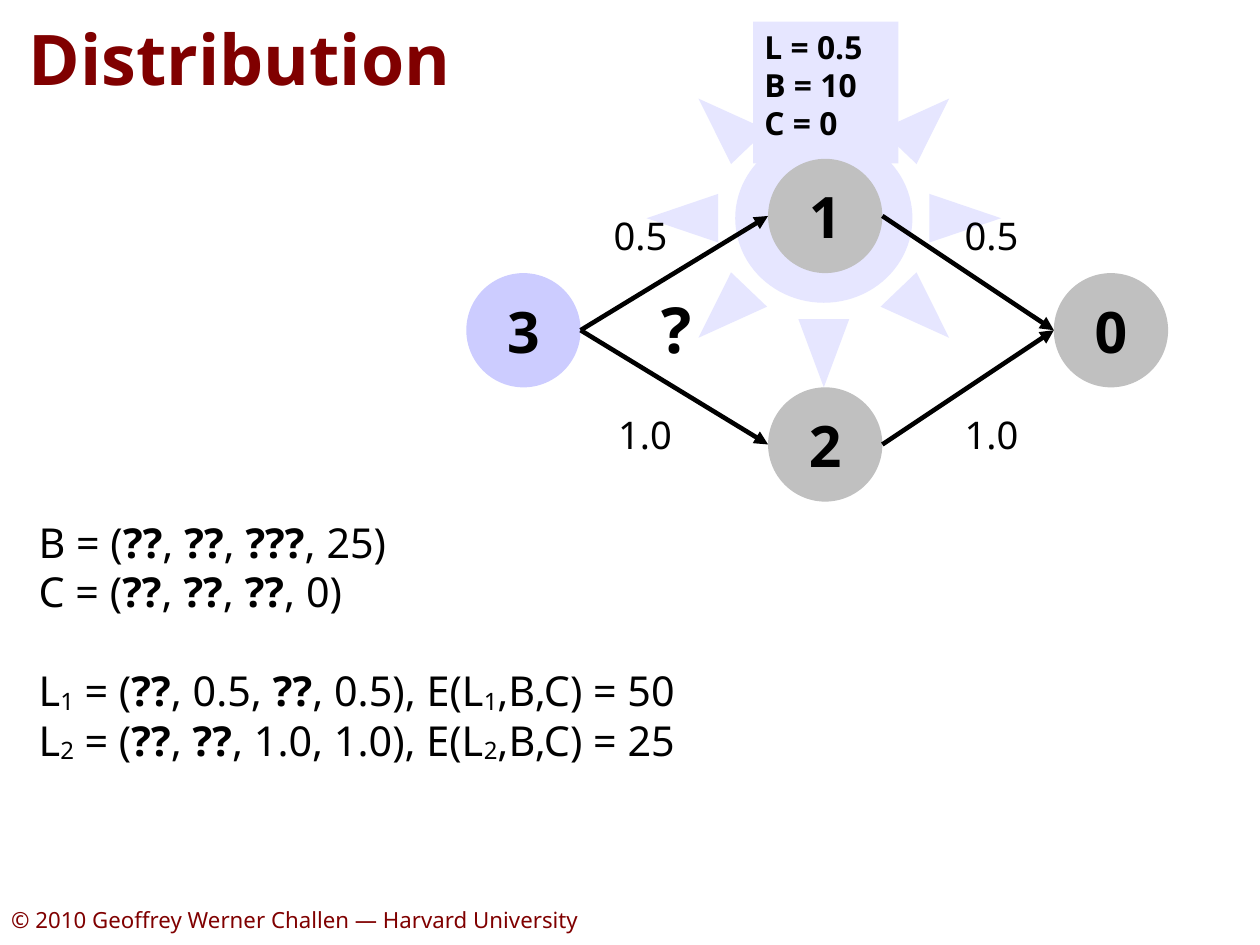
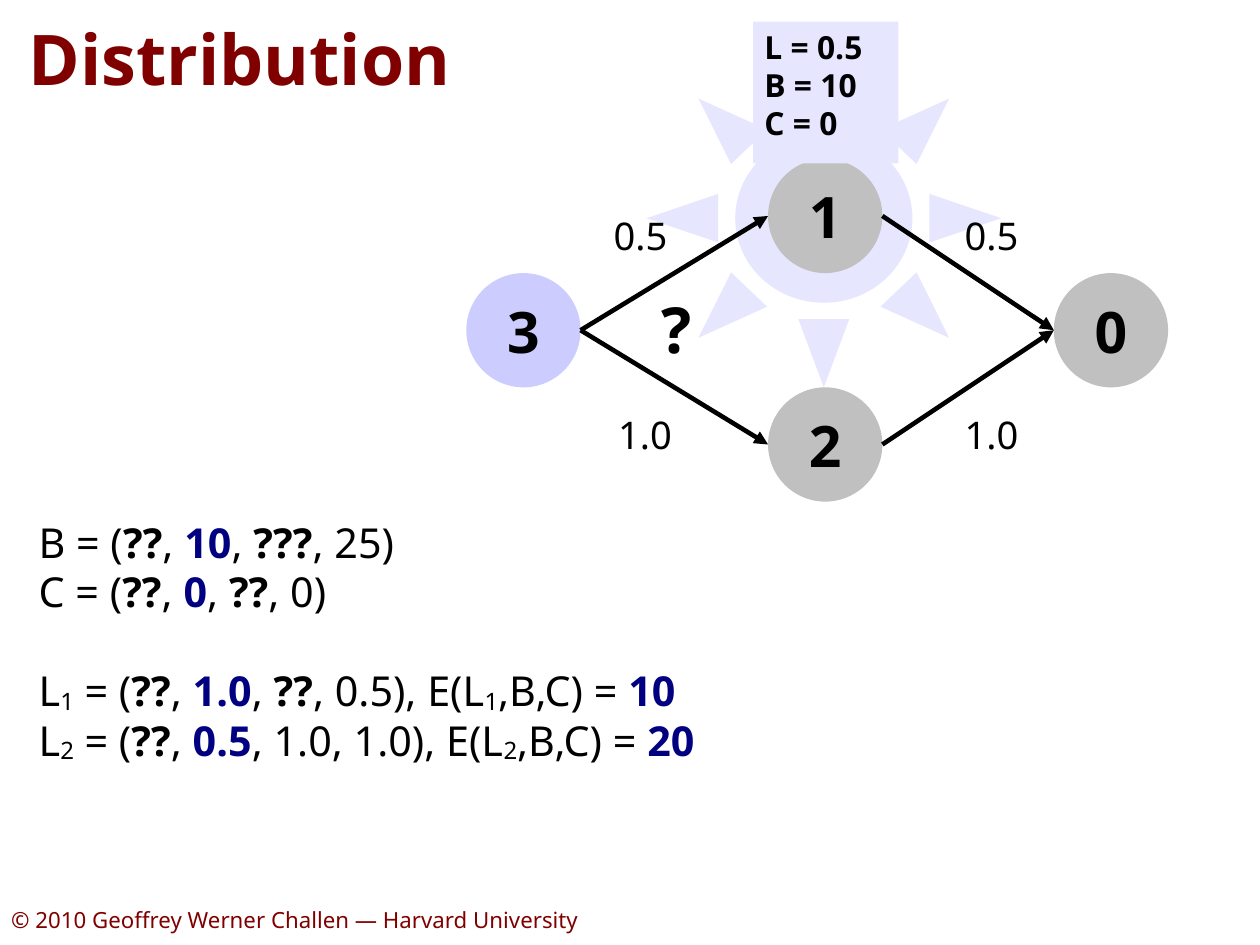
from pptx import Presentation
from pptx import util as u
from pptx.dml.color import RGBColor
from pptx.enum import shapes, text
from pptx.oxml.ns import qn
from lxml import etree

WIDE, HIGH = u.Cm(28), u.Cm(21)
FACE = "Noto Sans"
HUE = {
    "ink": "000000",
    "head": "800000",
    "new": "000080",
    "node": "C0C0C0",
    "self": "CCCCFF",
    "glow": "E6E6FF",
}
DISC_W, DISC_H = 9.07, 12.09
LEFT, MID, RIGHT = 37.01, 60.96, 83.64
TOP = 16.81
NODES = {
    "1": (MID, TOP, "node"),
    "2": (MID, TOP + 2 * DISC_H, "node"),
    "0": (RIGHT, TOP + DISC_H, "node"),
    "3": (LEFT, TOP + DISC_H, "self"),
}
LINKS = [("1", "0"), ("2", "0"), ("3", "2"), ("3", "1")]
COSTS = [
    ("0.5", 47.81, 21.92),
    ("0.5", 75.66, 21.92),
    ("1.0", 75.66, 42.94),
    ("1.0", 48.17, 42.94),
]
STEPS = [
    [
        "B = (|*??|, |*??|, |*???|, 25)",
        "C = (|*??|, |*??|, |*??|, 0)",
        "L|_1| = (|*??|, 0.5, |*??|, 0.5), E(L|_1|,B,C) = 50",
        "L|_2| = (|*??|, |*??|, 1.0, 1.0), E(L|_2|,B,C) = 25",
    ],
    [
        "B = (|*??|, |#10|, |*???|, 25)",
        "C = (|*??|, |#0|, |*??|, 0)",
        "L|_1| = (|*??|, |#1.0|, |*??|, 0.5), E(L|_1|,B,C) = |#10",
        "L|_2| = (|*??|, |#0.5|, 1.0, 1.0), E(L|_2|,B,C) = |#20",
    ],
]


def hue(name):
    return RGBColor.from_string(HUE[name])


def area(col, row, wide=0, high=0):
    return [round(part * full / 100) for part, full in
            zip((col, row, wide, high), (WIDE, HIGH, WIDE, HIGH))]


def style(font, size, tone="ink", bold=False):
    font.name, font.size, font.bold = FACE, u.Pt(size), bold
    font.color.rgb = hue(tone)


def write(frame, lines, size, tone="ink", bold=False, align=text.PP_ALIGN.LEFT):
    for i, line in enumerate(lines):
        para = frame.paragraphs[0] if i == 0 else frame.add_paragraph()
        para.alignment = align
        style(para.font, size, tone, bold)
        for piece in line.split("|"):
            mark = piece[0] if piece[0] in "*#_" else ""
            run = para.add_run()
            run.text = piece[len(mark):]
            if mark in ("*", "#"):
                run.font.bold = True
            if mark == "#":
                run.font.color.rgb = hue("new")
            if mark == "_":
                run.font._element.set("baseline", "-8000")


def label(slide, box, lines, size, tone="ink", bold=False, wrap=False):
    frame = slide.shapes.add_textbox(*area(*box)).text_frame
    frame.word_wrap = wrap
    frame.auto_size = text.MSO_AUTO_SIZE.SHAPE_TO_FIT_TEXT
    write(frame, lines, size, tone, bold)
    return frame


def block(slide, kind, box, tone):
    shape = slide.shapes.add_shape(kind, *area(*box))
    shape.shadow.inherit = False
    shape.fill.solid()
    shape.fill.fore_color.rgb = hue(tone)
    shape.line.fill.background()
    return shape


def footer(slide):
    foot = label(slide, (0, 95, 48.28, 4.96),
                 ["© 2010 Geoffrey Werner Challen — Harvard University"], 14, "head")
    foot.vertical_anchor = text.MSO_ANCHOR.BOTTOM
    foot.margin_bottom = u.Inches(0.1)


def title(slide, words):
    head = label(slide, (0, 0.6, 100, 10.88), [words], 44, "head", True, True)
    head.vertical_anchor = text.MSO_ANCHOR.MIDDLE
    head.margin_left = u.Inches(0.25)
    head.margin_right = head.margin_top = head.margin_bottom = 0


def tag(slide):
    shape = block(slide, shapes.MSO_SHAPE.RECTANGLE, (59.78, 2.3, 11.52, 14.99), "glow")
    frame = shape.text_frame
    frame.word_wrap = True
    frame.vertical_anchor = text.MSO_ANCHOR.TOP
    write(frame, ["L = 0.5", "B = 10", "C = 0"], 20, bold=True)


def node(slide, name):
    col, row, tone = NODES[name]
    disc = block(slide, shapes.MSO_SHAPE.OVAL, (col, row, DISC_W, DISC_H), tone)
    disc.text_frame.vertical_anchor = text.MSO_ANCHOR.MIDDLE
    write(disc.text_frame, [name], 36, bold=True, align=text.PP_ALIGN.CENTER)


def link(slide, start, end):
    x1, y1, _ = NODES[start]
    x2, y2, _ = NODES[end]
    ends = (area(x1 + DISC_W, y1 + DISC_H / 2)[:2]
            + area(x2, y2 + DISC_H / 2)[:2])
    arrow = slide.shapes.add_connector(shapes.MSO_CONNECTOR.STRAIGHT, *ends)
    arrow.line.width = u.Pt(2.89)
    arrow.line.color.rgb = hue("ink")
    props = arrow._element.spPr
    etree.SubElement(props.find(qn("a:ln")), qn("a:tailEnd"), type="triangle")
    etree.SubElement(props, qn("a:effectLst"))


def graph(slide):
    for name in NODES:
        node(slide, name)
    for start, end in LINKS:
        link(slide, start, end)
    label(slide, (51.63, 30.11, 4.26, 10.4), ["?"], 40, bold=True)
    for cost, col, row in COSTS:
        label(slide, (col, row, 6.53, 6.65), [cost], 24)


def sums(slide, lines):
    body = label(slide, (2.18, 54.14, 63.68, 31.08), lines, 26, wrap=True)
    body.paragraphs[2].space_before = u.Pt(31)


def main():
    deck = Presentation()
    deck.slide_width, deck.slide_height = WIDE, HIGH
    for i, lines in enumerate(STEPS):
        slide = deck.slides.add_slide(deck.slide_layouts[6])
        footer(slide)
        block(slide, shapes.MSO_SHAPE.SUN, (51.32, 5.2, 28.13, 35.79), "glow")
        if i == 0:
            tag(slide)
        title(slide, "Distribution")
        graph(slide)
        if i == 1:
            tag(slide)
        sums(slide, lines)
    deck.save("out.pptx")


if __name__ == "__main__":
    main()
